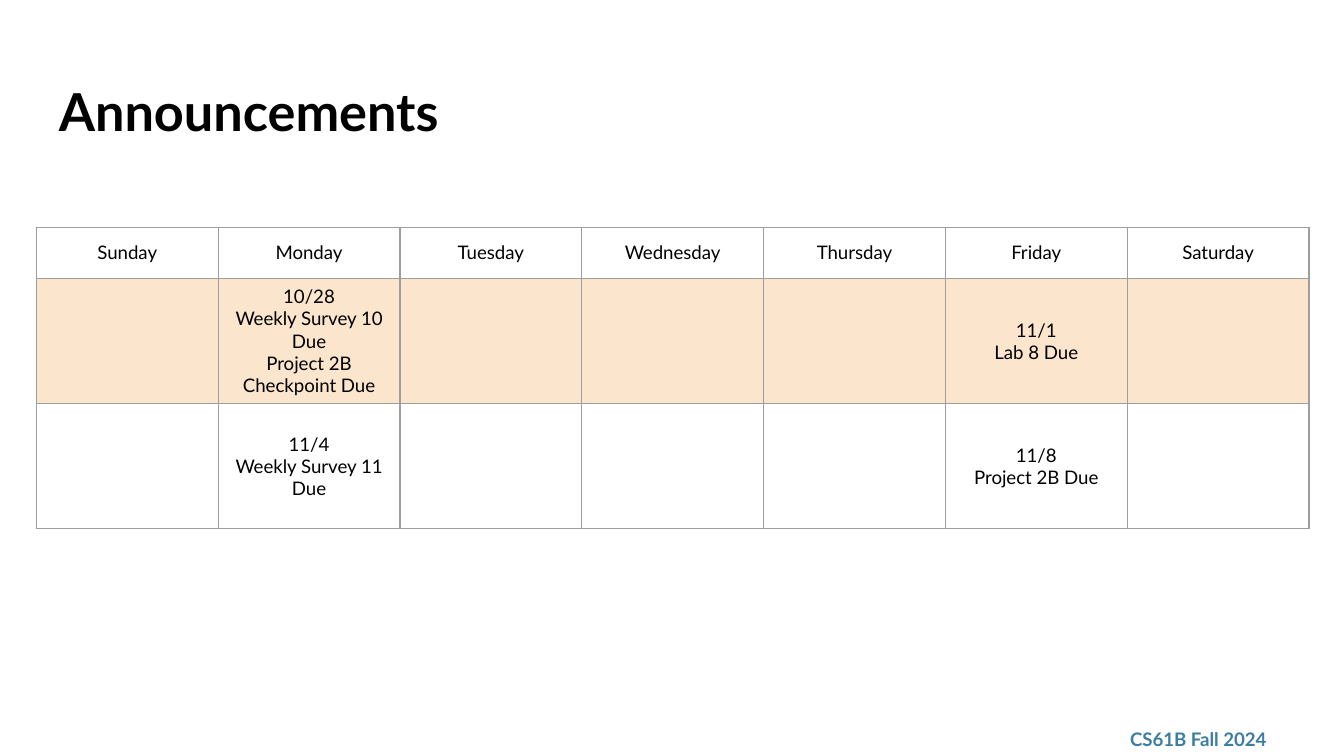
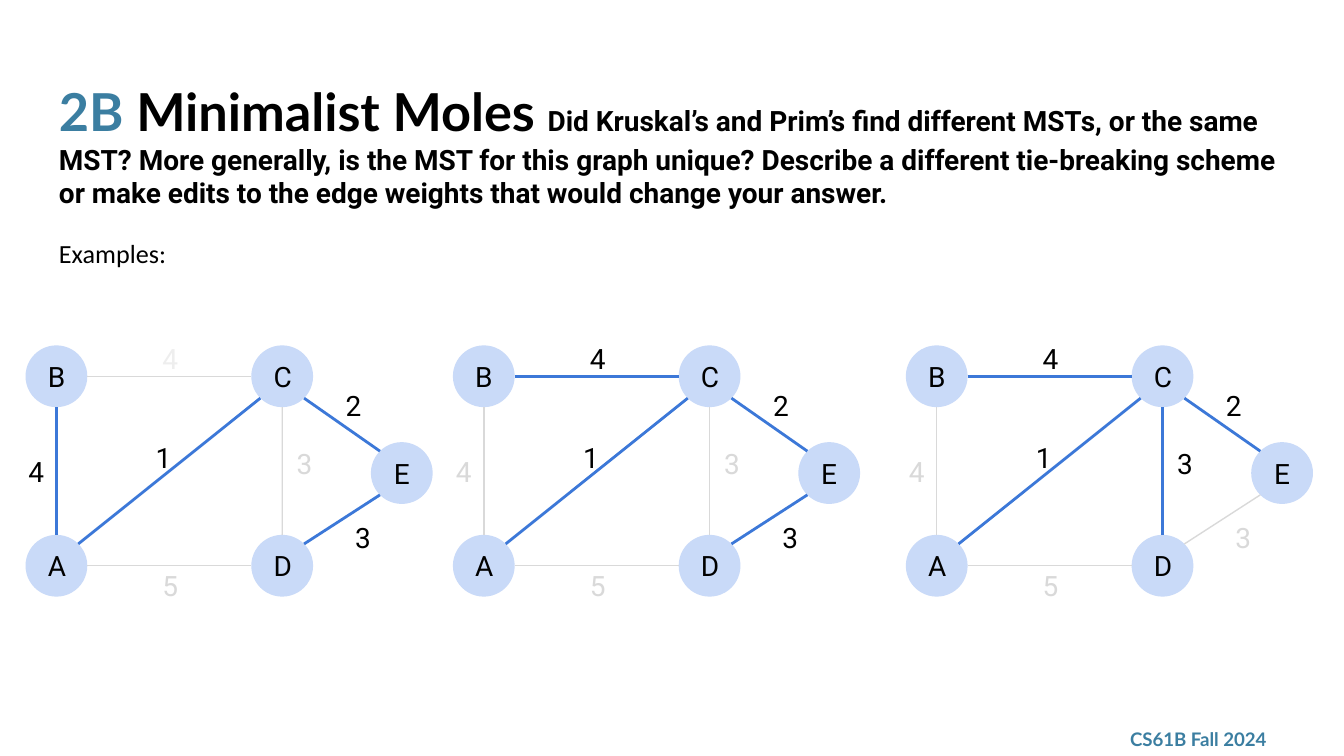
from dataclasses import dataclass
from math import cos, radians, sin

from lxml.etree import SubElement
from pptx import Presentation
from pptx.dml.color import RGBColor
from pptx.enum.shapes import MSO_CONNECTOR, MSO_SHAPE
from pptx.enum.text import MSO_ANCHOR, PP_ALIGN
from pptx.oxml.ns import qn
from pptx.util import Inches, Pt

BLACK = "000000"
TEAL = "3B7EA1"
PEACH = "FCE5CD"
NODE_FILL = "C9DAF8"
TREE_BLUE = "3C78D8"
MUTED = "D9D9D9"
FAINT = "EEEEEE"
BORDER = "9E9E9E"


@dataclass(frozen=True)
class Span:
    text: str
    size: float
    font: str = "Lato"
    color: str = BLACK
    bold: bool = False


@dataclass(frozen=True)
class Edge:
    """A weighted edge; angles (clockwise from east) tell where it meets each node."""
    start: str
    start_angle: int
    end: str
    end_angle: int
    weight: str
    label_x: float
    label_y: float
    label_width: float

    @property
    def name(self) -> str:
        return self.start + self.end


@dataclass(frozen=True)
class Graph:
    left: float
    tree: tuple[str, ...]
    faint_labels: tuple[str, ...] = ()


GRAPH_TOP = 2.57
NODE_SIZE = 0.46
NODES = {
    "B": (0, 0),
    "A": (0, 1.41),
    "C": (1.68, 0),
    "D": (1.68, 1.41),
    "E": (2.57, 0.72),
}
EDGES = [
    Edge("B", 90, "A", 270, "4", -0.07, 0.71, 0.19),
    Edge("C", 45, "E", 225, "2", 2.29, 0.22, 0.19),
    Edge("E", 135, "D", 315, "3", 2.36, 1.2, 0.19),
    Edge("C", 90, "D", 270, "3", 1.92, 0.65, 0.3),
    Edge("B", 0, "C", 180, "4", 0.92, -0.13, 0.3),
    Edge("A", 315, "C", 135, "1", 0.87, 0.61, 0.3),
    Edge("A", 0, "D", 180, "5", 0.92, 1.56, 0.3),
]
GRAPHS = [
    Graph(0.19, ("BA", "CE", "ED", "AC"), ("BC",)),
    Graph(3.37, ("BC", "CE", "ED", "AC")),
    Graph(6.74, ("BC", "CE", "CD", "AC")),
]

DAYS = ["Sunday", "Monday", "Tuesday", "Wednesday", "Thursday", "Friday", "Saturday"]
WEEKS = [
    {
        "Monday": ["10/28", "Weekly Survey 10 Due", "Project 2B Checkpoint Due"],
        "Friday": ["11/1", "Lab 8 Due"],
    },
    {
        "Monday": ["11/4", "Weekly Survey 11 Due"],
        "Friday": ["11/8", "Project 2B Due"],
    },
]


def rgb(color: str) -> RGBColor:
    return RGBColor.from_string(color)


def add_span(paragraph, span: Span) -> None:
    run = paragraph.add_run()
    run.text = span.text
    run.font.name = span.font
    run.font.size = Pt(span.size)
    run.font.bold = span.bold
    run.font.color.rgb = rgb(span.color)


def set_up_frame(frame, anchor: MSO_ANCHOR) -> None:
    frame.word_wrap = True
    frame.vertical_anchor = anchor
    frame.margin_left = frame.margin_right = Inches(0.1)
    frame.margin_top = frame.margin_bottom = Inches(0.1)


def add_text(page, left: float, top: float, width: float, height: float,
             *spans: Span, anchor: MSO_ANCHOR = MSO_ANCHOR.TOP) -> None:
    box = page.shapes.add_textbox(Inches(left), Inches(top), Inches(width), Inches(height))
    set_up_frame(box.text_frame, anchor)
    for span in spans:
        add_span(box.text_frame.paragraphs[0], span)


def add_page(deck, title_height: float, *title: Span):
    """Add a slide with the shared title position and footer."""
    page = deck.slides.add_slide(deck.slide_layouts[6])
    add_text(page, 8.31, 5.37, 1.35, 0.26,
             Span("CS61B Fall 2024", 10, color=TEAL, bold=True), anchor=MSO_ANCHOR.MIDDLE)
    add_text(page, 0.34, 0.49, 9.32, title_height, *title)
    return page


def add_borders(cell) -> None:
    properties = cell._tc.get_or_add_tcPr()
    for side in ("a:lnL", "a:lnR", "a:lnT", "a:lnB"):
        line = SubElement(properties, qn(side), w=str(Pt(0.75)))
        fill = SubElement(line, qn("a:solidFill"))
        SubElement(fill, qn("a:srgbClr"), val=BORDER)


def fill_cell(cell, lines: list[str], color: str | None) -> None:
    add_borders(cell)
    if color:
        cell.fill.solid()
        cell.fill.fore_color.rgb = rgb(color)
    else:
        cell.fill.background()
    cell.vertical_anchor = MSO_ANCHOR.MIDDLE
    cell.margin_left = cell.margin_right = Inches(0.05)
    cell.margin_top = cell.margin_bottom = Inches(0.05)
    frame = cell.text_frame
    for index, line in enumerate(lines):
        paragraph = frame.add_paragraph() if index else frame.paragraphs[0]
        paragraph.alignment = PP_ALIGN.CENTER
        add_span(paragraph, Span(line, 10))


def add_calendar(page) -> None:
    rows = [{day: [day] for day in DAYS}, *WEEKS]
    heights = [0.38, 0.93, 0.93]
    colors = [None, PEACH, None]
    table = page.shapes.add_table(len(rows), len(DAYS), Inches(0.27), Inches(1.69),
                                  Inches(9.47), Inches(sum(heights))).table
    table.first_row = False
    table.horz_banding = False
    for row, (entries, height, color) in enumerate(zip(rows, heights, colors)):
        table.rows[row].height = Inches(height)
        for column, day in enumerate(DAYS):
            fill_cell(table.cell(row, column), entries.get(day, []), color)


def add_node(page, name: str, left: float, top: float) -> None:
    node = page.shapes.add_shape(MSO_SHAPE.OVAL, Inches(left), Inches(top),
                                 Inches(NODE_SIZE), Inches(NODE_SIZE))
    node.shadow.inherit = False
    node.fill.solid()
    node.fill.fore_color.rgb = rgb(NODE_FILL)
    node.line.fill.background()
    set_up_frame(node.text_frame, MSO_ANCHOR.MIDDLE)
    paragraph = node.text_frame.paragraphs[0]
    paragraph.alignment = PP_ALIGN.CENTER
    add_span(paragraph, Span(name, 15, "Roboto"))


def rim_point(graph: Graph, name: str, angle: int) -> tuple[Inches, Inches]:
    x, y = NODES[name]
    radius = NODE_SIZE / 2
    return (Inches(graph.left + x + radius * (1 + cos(radians(angle)))),
            Inches(GRAPH_TOP + y + radius * (1 + sin(radians(angle)))))


def add_edge(page, graph: Graph, edge: Edge) -> None:
    in_tree = edge.name in graph.tree
    line = page.shapes.add_connector(
        MSO_CONNECTOR.STRAIGHT,
        *rim_point(graph, edge.start, edge.start_angle),
        *rim_point(graph, edge.end, edge.end_angle))
    line.line.color.rgb = rgb(TREE_BLUE if in_tree else MUTED)
    line.line.width = Pt(1.5 if in_tree else 0.75)
    SubElement(line._element.spPr, qn("a:effectLst"))
    if in_tree:
        label_color = BLACK
    else:
        label_color = FAINT if edge.name in graph.faint_labels else MUTED
    add_text(page, graph.left + edge.label_x, GRAPH_TOP + edge.label_y,
             edge.label_width, 0.45, Span(edge.weight, 15, "Roboto", label_color))


def add_graph(page, graph: Graph) -> None:
    for name, (x, y) in NODES.items():
        add_node(page, name, graph.left + x, GRAPH_TOP + y)
    for edge in EDGES:
        add_edge(page, graph, edge)


def main() -> None:
    deck = Presentation()
    deck.slide_width = Inches(10)
    deck.slide_height = Inches(10 * 9 / 16)

    announcements = add_page(deck, 0.63, Span("Announcements", 28, bold=True))
    add_calendar(announcements)

    moles = add_page(
        deck, 1.29,
        Span("2B", 28, color=TEAL, bold=True),
        Span(" Minimalist Moles ", 28, bold=True),
        Span("Did Kruskal’s and Prim’s find different MSTs, or the same MST? "
             "More generally, is the MST for this graph unique? Describe a different "
             "tie-breaking scheme or make edits to the edge weights that would change "
             "your answer.", 15, "Roboto", bold=True))
    add_text(moles, 0.34, 1.67, 4.68, 0.44, Span("Examples:", 14, "Calibri"))
    for graph in GRAPHS:
        add_graph(moles, graph)

    deck.save("out.pptx")


if __name__ == "__main__":
    main()
